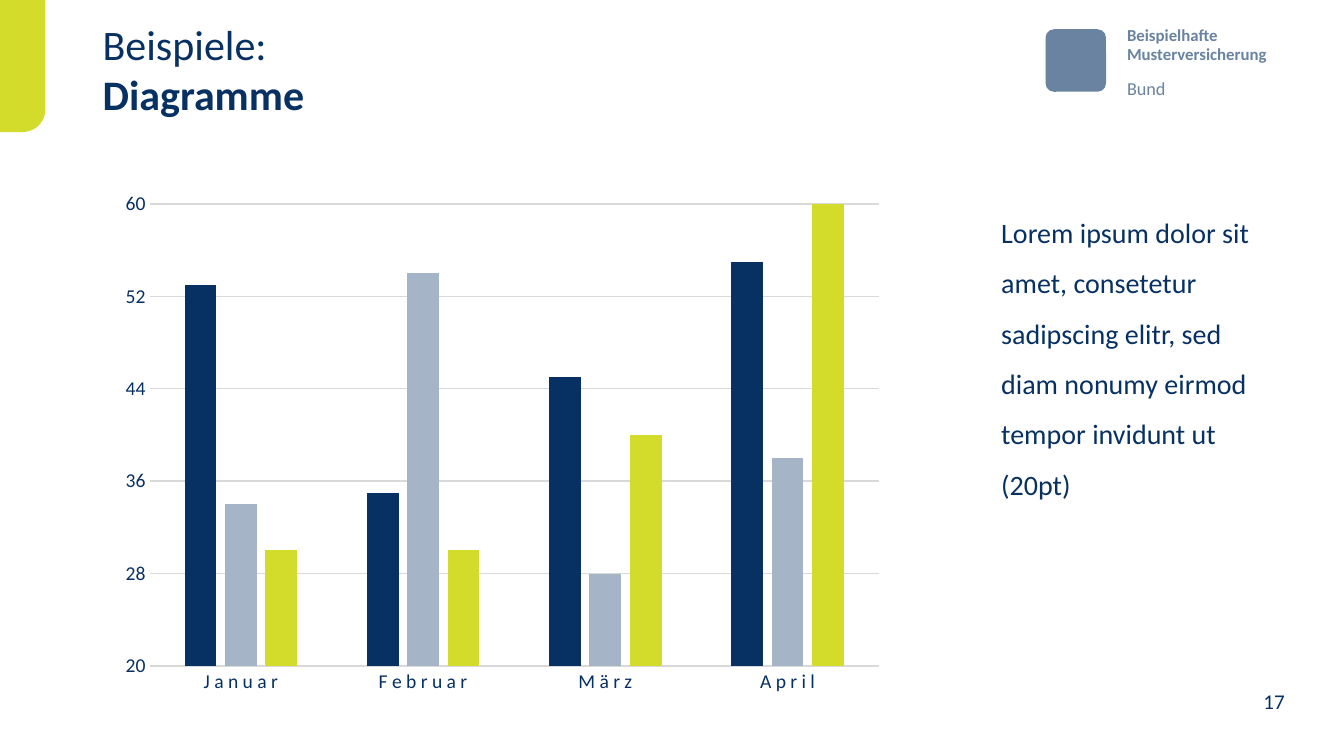
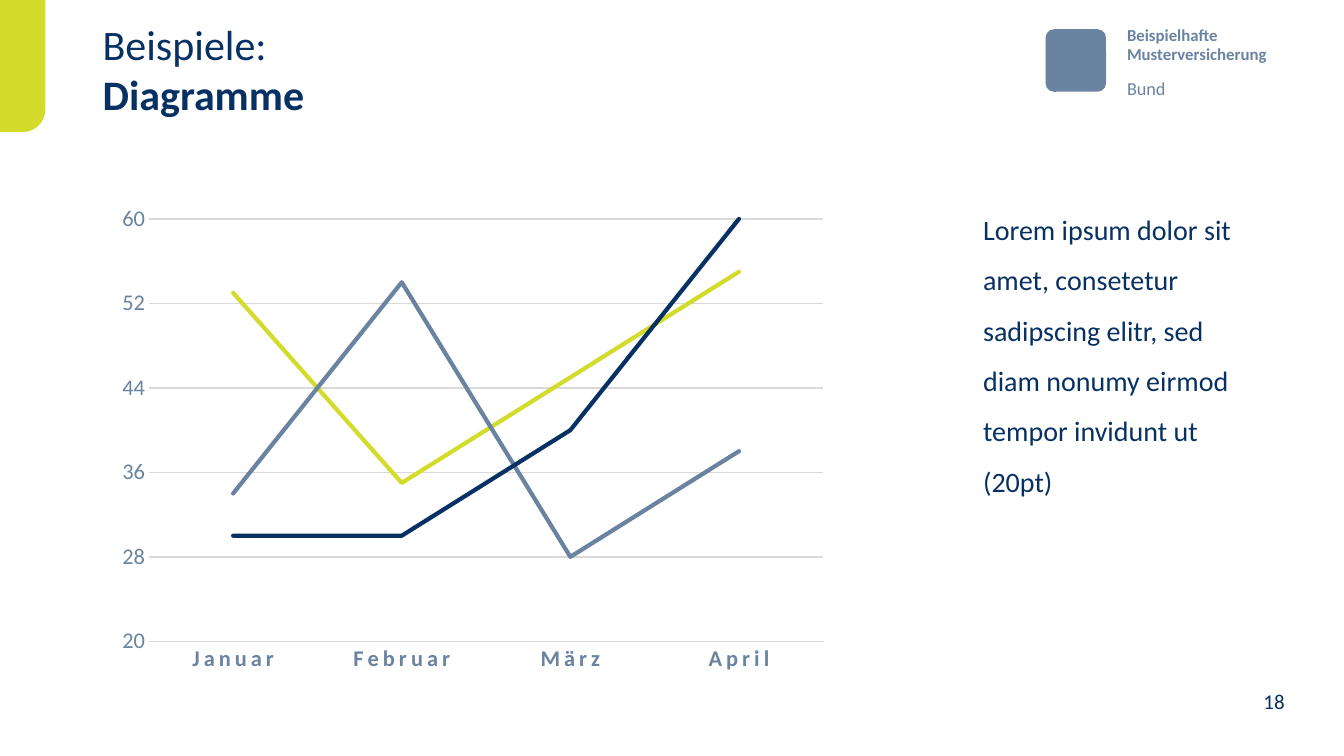
from pptx import Presentation
from pptx.chart.data import CategoryChartData
from pptx.dml.color import RGBColor
from pptx.enum.chart import XL_CHART_TYPE as CHART, XL_MARKER_STYLE, XL_TICK_MARK
from pptx.enum.shapes import MSO_SHAPE as SHAPE
from pptx.enum.text import MSO_ANCHOR as ANCHOR, PP_ALIGN as ALIGN
from pptx.util import Inches, Pt

NAVY = RGBColor(0x08, 0x31, 0x63)
STEEL = RGBColor(0x69, 0x83, 0xA1)
MIST = RGBColor(0xA5, 0xB5, 0xC7)
LIME = RGBColor(0xD3, 0xDB, 0x2B)
GRID = RGBColor(0xD9, 0xD9, 0xD9)
FONT = "Calibri"

# Content
TITLE = "Beispiele: \vDiagramme"
SENDER = ["Beispielhafte", "Musterversicherung"]
DIVISION = "Bund"
BODY = ("Lorem ipsum dolor sit amet, consetetur sadipscing elitr, "
        "sed diam nonumy eirmod tempor invidunt ut (20pt)")
MONTHS = ["Januar", "Februar", "März", "April"]
SERIES = {
    "Series 1": [53, 35, 45, 55],
    "Series 2": [34, 54, 28, 38],
    "Series 3": [30, 30, 40, 60],
}
SLIDES = [
    dict(number=17, kind=CHART.COLUMN_CLUSTERED, chart_at=(1.09, 1.8, 7.78, 5.19),
         colors=[NAVY, MIST, LIME], label=(14, NAVY), bold_months=False,
         body_at=(9.93, 1.97, 2.51, 3.31)),
    dict(number=18, kind=CHART.LINE, chart_at=(1.07, 1.94, 7.24, 4.83),
         colors=[LIME, STEEL, NAVY], label=(16, STEEL), bold_months=True,
         body_at=(9.75, 1.94, 2.51, 3.31)),
]


def inches(box):
    return [Inches(v) for v in box]


def style(font, size, color, bold=False):
    font.name, font.size, font.bold = FONT, Pt(size), bold
    font.color.rgb = color


def add_text(slide, box, lines, size, color, bold=False, spacing=None,
             align=ALIGN.LEFT, anchor=ANCHOR.TOP, wrap=True, inset=None):
    tf = slide.shapes.add_textbox(*inches(box)).text_frame
    tf.word_wrap, tf.vertical_anchor = wrap, anchor
    if inset is not None:
        tf.margin_left = tf.margin_top = tf.margin_right = tf.margin_bottom = inset
    tf.text = "\n".join(lines)
    for p in tf.paragraphs:
        p.alignment, p.line_spacing = align, spacing
        for r in p.runs:
            style(r.font, size, color, bold)
    return tf


def add_block(slide, kind, box, color, rounding):
    sp = slide.shapes.add_shape(kind, *inches(box))
    sp.adjustments[0] = rounding
    sp.shadow.inherit = False
    sp.fill.solid()
    sp.fill.fore_color.rgb = color
    sp.line.fill.background()
    return sp


def add_frame(slide, number):
    """Parts that every slide shares."""
    # Sender mark
    add_block(slide, SHAPE.ROUNDED_RECTANGLE, (10.37, 0.29, 0.6, 0.62), STEEL, 0.14)
    add_text(slide, (11.08, 0.22, 1.76, 0.47), SENDER, 12, STEEL, bold=True,
             spacing=Pt(13), wrap=False)
    add_text(slide, (11.08, 0.64, 0.63, 0.36), [DIVISION], 13, STEEL,
             spacing=Pt(21), wrap=False)
    # Corner tab
    tab = add_block(slide, SHAPE.ROUND_1_RECTANGLE, (-0.43, 0.43, 1.31, 0.45), LIME, 0.5)
    tab.rotation = 90
    # Page number and title
    add_text(slide, (9.51, 6.63, 3.33, 0.5), [str(number)], 15, NAVY,
             align=ALIGN.RIGHT, anchor=ANCHOR.BOTTOM)
    tf = add_text(slide, (0.92, 0.13, 9.03, 1.18), [TITLE], 30, NAVY)
    tf.paragraphs[0].runs[-1].font.bold = True


def style_axes(chart, size, color, bold_months):
    months, values = chart.category_axis, chart.value_axis
    for axis in (months, values):
        axis.major_tick_mark = axis.minor_tick_mark = XL_TICK_MARK.NONE
        style(axis.tick_labels.font, size, color)
    months.tick_labels.font.bold = bold_months
    # Letter spacing of the month names, in hundredths of a point
    for props in months._element.xpath(".//a:defRPr"):
        props.set("spc", "300")
    values.minimum_scale, values.maximum_scale, values.major_unit = 20, 60, 8
    values.has_major_gridlines = True
    for line in (months.format.line, values.major_gridlines.format.line):
        line.color.rgb, line.width = GRID, Pt(1)
    values.format.line.fill.background()


def add_month_chart(slide, kind, box, colors, label, bold_months):
    data = CategoryChartData()
    data.categories = MONTHS
    for name, values in SERIES.items():
        data.add_series(name, values)
    chart = slide.shapes.add_chart(kind, *inches(box), data).chart
    chart.has_legend = chart.has_title = False
    chart.font.name, chart.font.size = FONT, Pt(10)
    style_axes(chart, *label, bold_months)
    plot = chart.plots[0]
    plot.vary_by_categories = False
    if kind == CHART.COLUMN_CLUSTERED:
        plot.gap_width, plot.overlap = 219, -27
    for s, color in zip(plot.series, colors):
        if kind == CHART.LINE:
            s.smooth = False
            s.marker.style = XL_MARKER_STYLE.NONE
            s.format.line.color.rgb, s.format.line.width = color, Pt(3)
            s._element.xpath("./c:spPr/a:ln")[0].set("cap", "rnd")
        else:
            s.format.fill.solid()
            s.format.fill.fore_color.rgb = color


def main():
    prs = Presentation()
    prs.slide_width, prs.slide_height = Inches(13.33), Inches(7.5)
    for page in SLIDES:
        slide = prs.slides.add_slide(prs.slide_layouts[6])
        add_frame(slide, page["number"])
        add_month_chart(slide, page["kind"], page["chart_at"], page["colors"],
                        page["label"], page["bold_months"])
        add_text(slide, page["body_at"], [BODY], 20, NAVY, spacing=1.5, inset=0)
    prs.save("out.pptx")


if __name__ == "__main__":
    main()
